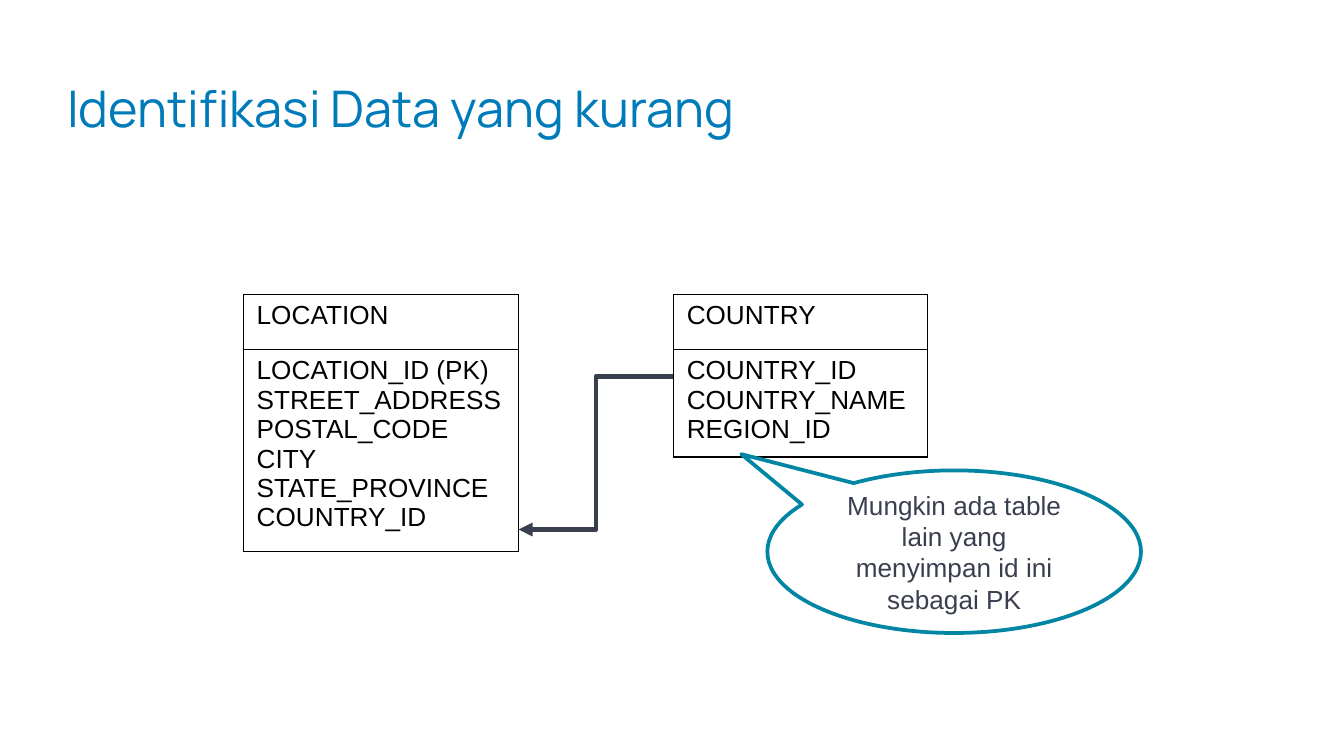
from dataclasses import dataclass

from lxml import etree
from pptx import Presentation
from pptx.dml.color import RGBColor
from pptx.enum import shapes as kinds, text as txt
from pptx.oxml import ns
from pptx.slide import Slide
from pptx.util import Inches, Pt

HUES = {"title": "007BB9", "ink": "000000", "slate": "3A3F50",
        "teal": "0086A3", "white": "FFFFFF"}


@dataclass
class Entity:
    name: str
    fields: list[str]
    left: float
    width: float
    height: float


TOP, ROW = 2.19, 0.41
PLACE = Entity("LOCATION", ["LOCATION_ID (PK)\nSTREET_ADDRESS\nPOSTAL_CODE\nCITY",
                            "STATE_PROVINCE", "COUNTRY_ID"], 1.81, 2.05, 1.91)
LAND = Entity("COUNTRY", ["COUNTRY_ID", "COUNTRY_NAME", "REGION_ID"], 5.01, 1.89, 1.21)


def color(name: str) -> RGBColor:
    return RGBColor.from_string(HUES[name])


def write(frame, lines: list[str], size=14, font="Arial", hue="ink",
          align=txt.PP_ALIGN.LEFT, space=None) -> None:
    frame.word_wrap = True
    points = str(size * 100)
    for i, line in enumerate(lines):
        para = frame.paragraphs[0] if i == 0 else frame.add_paragraph()
        para.alignment = align
        para.line_spacing = space
        for j, part in enumerate(line.split("\n")):
            if j:
                para.add_line_break()
                etree.SubElement(para._p[-1], ns.qn("a:rPr"), sz=points)
            run = para.add_run()
            run.text = part
            run.font.size, run.font.name, run.font.bold = Pt(size), font, False
            run.font.color.rgb = color(hue)
        etree.SubElement(para._p, ns.qn("a:endParaRPr"), sz=points)


def edge(cell) -> None:
    props = cell._tc.get_or_add_tcPr()
    for i, side in enumerate(("lnL", "lnR", "lnT", "lnB")):
        line = etree.Element(ns.qn(f"a:{side}"), w=str(Pt(0.75)))
        fill = etree.SubElement(line, ns.qn("a:solidFill"))
        etree.SubElement(fill, ns.qn("a:srgbClr"), val=HUES["ink"])
        props.insert(i, line)


def draw_table(slide: Slide, item: Entity) -> None:
    frame = slide.shapes.add_table(2, 1, Inches(item.left), Inches(TOP),
                                   Inches(item.width), Inches(item.height))
    grid = frame.table
    grid.first_row = grid.horz_banding = False
    for row, lines in zip(grid.rows, ([item.name], item.fields)):
        row.height = Inches(ROW)
        cell = row.cells[0]
        cell.fill.background()
        edge(cell)
        write(cell.text_frame, lines)
    frame.height = Inches(item.height)


def draw_link(slide: Slide, start: tuple[float, float], end: tuple[float, float]) -> None:
    link = slide.shapes.add_connector(kinds.MSO_CONNECTOR.ELBOW,
                                      *map(Inches, start + end))
    link.line.color.rgb, link.line.width = color("slate"), Pt(2.5)
    etree.SubElement(link.line._get_or_add_ln(), ns.qn("a:tailEnd"), type="triangle")
    etree.SubElement(link._element.spPr, ns.qn("a:effectLst"))


def draw_note(slide: Slide, words: str) -> None:
    note = slide.shapes.add_shape(kinds.MSO_SHAPE.OVAL_CALLOUT, Inches(5.71),
                                  Inches(3.5), Inches(2.78), Inches(1.21))
    note.adjustments[0], note.adjustments[1] = -0.57, -0.6
    note.shadow.inherit = False
    note.fill.solid()
    note.fill.fore_color.rgb = color("white")
    note.line.color.rgb, note.line.width = color("teal"), Pt(2)
    note.text_frame.vertical_anchor = txt.MSO_ANCHOR.MIDDLE
    write(note.text_frame, [words], hue="slate", align=txt.PP_ALIGN.CENTER)


def draw_title(slide: Slide, words: str) -> None:
    frame = slide.shapes.add_textbox(Inches(0.5), Inches(0.66),
                                     Inches(6.17), Inches(1.18)).text_frame
    frame.margin_left = frame.margin_right = frame.margin_top = frame.margin_bottom = 0
    write(frame, [words], size=27, font="Manrope", hue="title", space=0.8)


def main() -> None:
    """Build the slide on missing data with its two linked tables."""
    deck = Presentation()
    deck.slide_width = Inches(10)
    deck.slide_height = deck.slide_width * 9 // 16
    slide = deck.slides.add_slide(deck.slide_layouts[6])
    draw_title(slide, "Identifikasi Data yang kurang")
    for item in (PLACE, LAND):
        draw_table(slide, item)
    draw_link(slide, (LAND.left, 2.8), (PLACE.left + PLACE.width, 3.94))
    draw_note(slide, "Mungkin ada table lain yang menyimpan id ini sebagai PK")
    deck.save("out.pptx")


if __name__ == "__main__":
    main()
